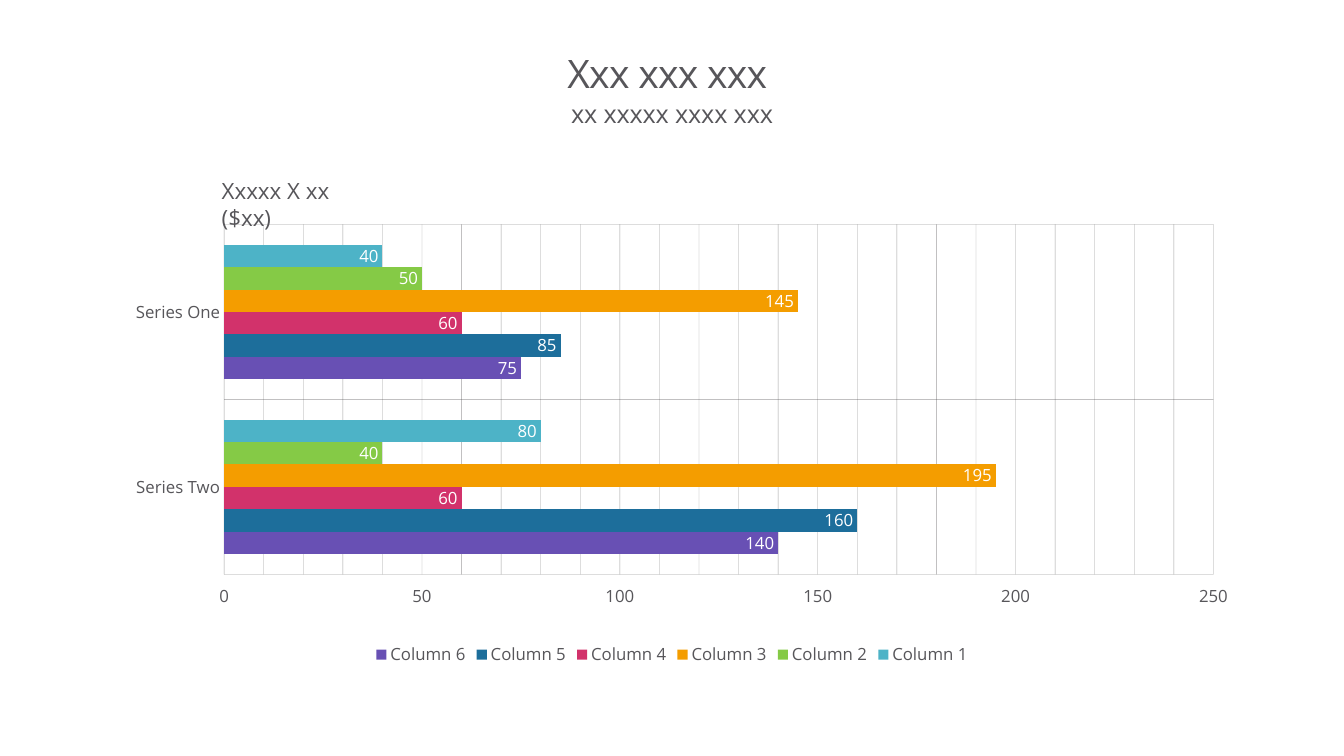
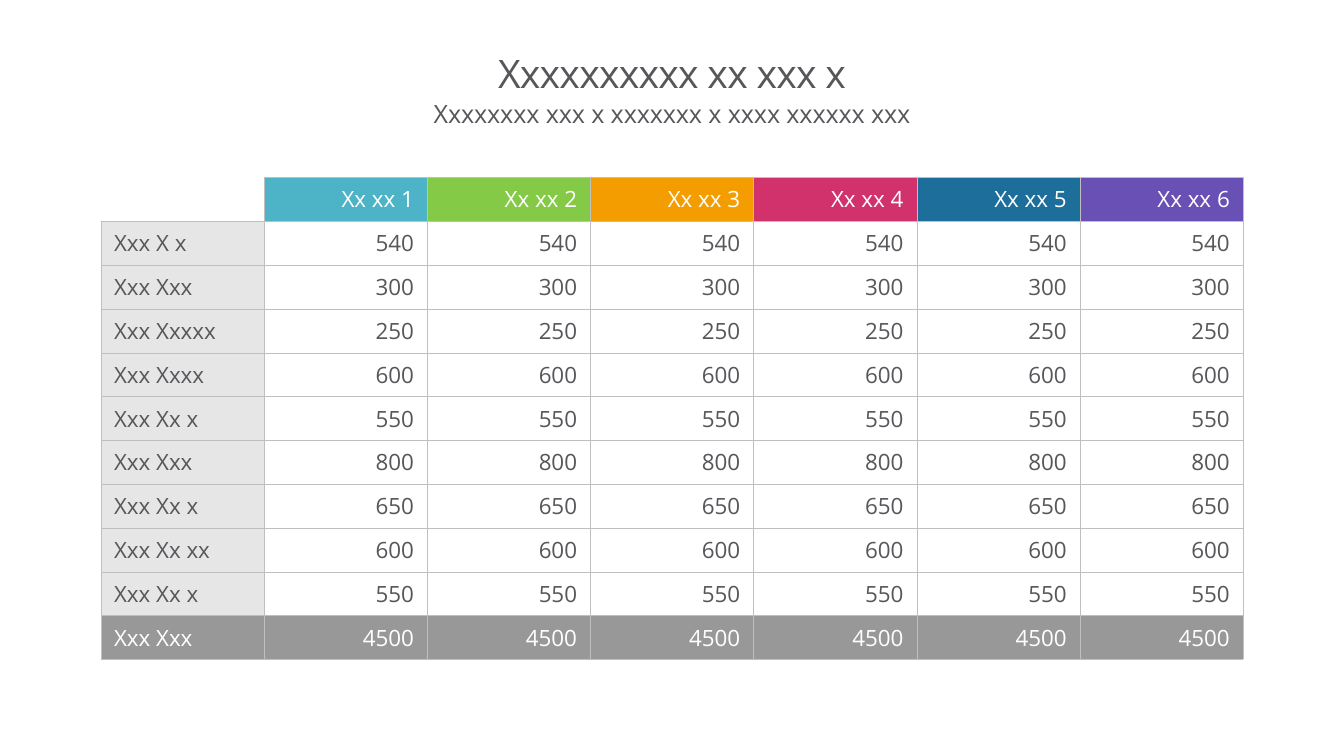
from lxml import etree
from pptx import Presentation
from pptx import util as u
from pptx.chart.data import CategoryChartData
from pptx.dml.color import RGBColor
from pptx.enum import chart as ch, text
from pptx.oxml import parse_xml
from pptx.oxml.ns import nsdecls, qn

Pt = u.Pt
FONT = "Open Sans"
INK = RGBColor(0x57, 0x56, 0x5A)
WHITE = RGBColor(0xFF, 0xFF, 0xFF)
GRID = RGBColor(0x41, 0x40, 0x43)
BORDER = RGBColor(0xBF, 0xBF, 0xBF)
LABEL_FILL = RGBColor(0xE6, 0xE6, 0xE6)
TOTAL_FILL = RGBColor(0x98, 0x98, 0x98)
PALETTE = [
    RGBColor(0x4D, 0xB3, 0xC7),
    RGBColor(0x85, 0xCA, 0x46),
    RGBColor(0xF4, 0x9D, 0x00),
    RGBColor(0xD2, 0x32, 0x6B),
    RGBColor(0x1D, 0x6E, 0x9B),
    RGBColor(0x68, 0x50, 0xB4),
]

LEFT, WIDTH = 72, 816
TABLE_TOP = 126.72
ROW_HEIGHT = 31.3
PLOT = {"x": 0.108, "y": 0.126, "w": 0.866, "h": 0.686}

CHART_TITLE = ("Xxx xxx xxx ", "xx xxxxx xxxx xxx")
CHART_CAPTION = "Xxxxx X xx ($xx)"
CATEGORIES = ["Series One", "Series Two"]
SERIES = [
    ("Column 1", (40, 80)),
    ("Column 2", (50, 40)),
    ("Column 3", (145, 195)),
    ("Column 4", (60, 60)),
    ("Column 5", (85, 160)),
    ("Column 6", (75, 140)),
]

TABLE_TITLE = ("Xxxxxxxxxx xx xxx x", "Xxxxxxxx xxx x xxxxxxx x xxxx xxxxxx xxx")
HEADINGS = [f"Xx xx {number}" for number in range(1, 7)]
TABLE_ROWS = [
    ("Xxx X x", 540),
    ("Xxx Xxx", 300),
    ("Xxx Xxxxx", 250),
    ("Xxx Xxxx", 600),
    ("Xxx Xx x", 550),
    ("Xxx Xxx", 800),
    ("Xxx Xx x", 650),
    ("Xxx Xx xx", 600),
    ("Xxx Xx x", 550),
    ("Xxx Xxx", 4500),
]


def set_font(font, size, color=INK):
    font.name = FONT
    font.size = Pt(size)
    font.color.rgb = color


def write(frame, words, size, color=INK, align=None, leading=None, tracking=None):
    para = frame.paragraphs[0]
    para.alignment = align
    para.line_spacing = leading
    span = para.add_run()
    span.text = words
    set_font(span.font, size, color)
    if tracking:
        span.font._element.set("spc", str(tracking))


def clear_insets(frame, anchor):
    frame.margin_left = frame.margin_right = 0
    frame.margin_top = frame.margin_bottom = 0
    frame.word_wrap = True
    frame.vertical_anchor = anchor


def add_text(page, place, words, size, **style):
    box = page.shapes.add_textbox(*map(Pt, place))
    clear_insets(box.text_frame, text.MSO_ANCHOR.TOP)
    write(box.text_frame, words, size, **style)


def add_page(deck, headings):
    title, subtitle = headings
    page = deck.slides.add_slide(deck.slide_layouts[5])
    box = page.shapes.title
    box.left, box.top, box.width, box.height = map(Pt, (LEFT, 22.3, WIDTH, 64))
    clear_insets(box.text_frame, text.MSO_ANCHOR.MIDDLE)
    style = {"align": text.PP_ALIGN.CENTER, "leading": 0.86}
    write(box.text_frame, title, 28, tracking=-50, **style)
    add_text(page, (LEFT, 73.4, WIDTH, 31.7), subtitle, 18, tracking=-10, **style)
    return page


def style_axis(axis):
    axis.major_tick_mark = axis.minor_tick_mark = ch.XL_TICK_MARK.NONE
    axis.format.line.fill.background()
    set_font(axis.tick_labels.font, 12)
    line = axis.major_gridlines.format.line
    line.width = Pt(0.25)
    line.color.rgb = GRID


def finish_gridlines(chart):
    for color in chart.element.iterfind(f".//{qn('c:majorGridlines')}//{qn('a:srgbClr')}"):
        etree.SubElement(color, qn("a:alpha"), val="50000")
    value_axis = chart.element.find(".//" + qn("c:valAx"))
    minor = value_axis.find(qn("c:minorGridlines"))
    for part in value_axis.find(qn("c:majorGridlines")):
        minor.append(parse_xml(etree.tostring(part)))


def set_plot_layout(chart):
    area = chart.element.find(".//" + qn("c:plotArea"))
    for old in area.findall(qn("c:layout")):
        area.remove(old)
    modes = '<c:layoutTarget val="inner"/><c:xMode val="edge"/><c:yMode val="edge"/>'
    sizes = "".join(f'<c:{key} val="{value}"/>' for key, value in PLOT.items())
    area.insert(0, parse_xml(
        f'<c:layout {nsdecls("c")}><c:manualLayout>{modes}{sizes}</c:manualLayout></c:layout>'))


def add_bar_chart(page):
    data = CategoryChartData()
    data.categories = CATEGORIES
    for name, values in SERIES:
        data.add_series(name, values)
    chart = page.shapes.add_chart(
        ch.XL_CHART_TYPE.BAR_CLUSTERED, *map(Pt, (LEFT, 114.5, WIDTH, 364.3)), data).chart
    set_font(chart.font, 10)
    chart.has_title = False
    chart.has_legend = True
    chart.legend.position = ch.XL_LEGEND_POSITION.BOTTOM
    chart.legend.include_in_layout = False
    set_font(chart.legend.font, 12)
    set_plot_layout(chart)

    category_axis, value_axis = chart.category_axis, chart.value_axis
    style_axis(category_axis)
    style_axis(value_axis)
    category_axis.reverse_order = True
    value_axis.tick_label_position = ch.XL_TICK_LABEL_POSITION.HIGH
    value_axis.minimum_scale, value_axis.maximum_scale = 0, 250
    value_axis.major_unit, value_axis.minor_unit = 50, 10
    value_axis.has_minor_gridlines = True
    finish_gridlines(chart)

    plot = chart.plots[0]
    plot.gap_width = 182
    plot.overlap = 0
    plot.vary_by_categories = False
    for series, color in zip(plot.series, PALETTE):
        series.format.fill.solid()
        series.format.fill.fore_color.rgb = color
        labels = series.data_labels
        labels.show_value = True
        labels.position = ch.XL_LABEL_POSITION.INSIDE_END
        set_font(labels.font, 12, WHITE)


def style_cell(cell, words, color, fill, align, sides):
    cell.margin_left = cell.margin_right = Pt(9.5)
    cell.margin_top = cell.margin_bottom = Pt(4.75)
    cell.vertical_anchor = text.MSO_ANCHOR.MIDDLE
    if words:
        write(cell.text_frame, words, 16, color, align)
    if fill is None:
        cell.fill.background()
    else:
        cell.fill.solid()
        cell.fill.fore_color.rgb = fill
    properties = cell._tc.get_or_add_tcPr()
    for index, side in enumerate(sides):
        properties.insert(index, parse_xml(
            f'<a:ln{side} {nsdecls("a")} w="3175"><a:solidFill>'
            f'<a:srgbClr val="{BORDER}"/></a:solidFill></a:ln{side}>'))


def add_table(page):
    lines = [["", *HEADINGS]]
    lines += [[label] + [str(value)] * len(HEADINGS) for label, value in TABLE_ROWS]
    rows, columns = len(lines), len(lines[0])
    table = page.shapes.add_table(
        rows, columns, *map(Pt, (LEFT, TABLE_TOP, WIDTH, rows * ROW_HEIGHT))).table
    table.first_row = table.horz_banding = False
    for column in table.columns:
        column.width = Pt(WIDTH / columns)
    for r, line in enumerate(lines):
        table.rows[r].height = Pt(ROW_HEIGHT)
        for c, words in enumerate(line):
            color, fill = INK, None
            if r == 0 and c > 0:
                color, fill = WHITE, PALETTE[c - 1]
            elif r == rows - 1:
                color, fill = WHITE, TOTAL_FILL
            elif r > 0 and c == 0:
                fill = LABEL_FILL
            align = text.PP_ALIGN.RIGHT if c else text.PP_ALIGN.LEFT
            sides = "LRTB" if r or c else "RB"
            style_cell(table.cell(r, c), words, color, fill, align, sides)


def main():
    deck = Presentation()
    deck.slide_width, deck.slide_height = Pt(960), Pt(540)
    page = add_page(deck, CHART_TITLE)
    add_bar_chart(page)
    add_text(page, (158.4, TABLE_TOP, 110.9, 44), CHART_CAPTION, 16)
    add_table(add_page(deck, TABLE_TITLE))
    deck.save("out.pptx")


if __name__ == "__main__":
    main()
